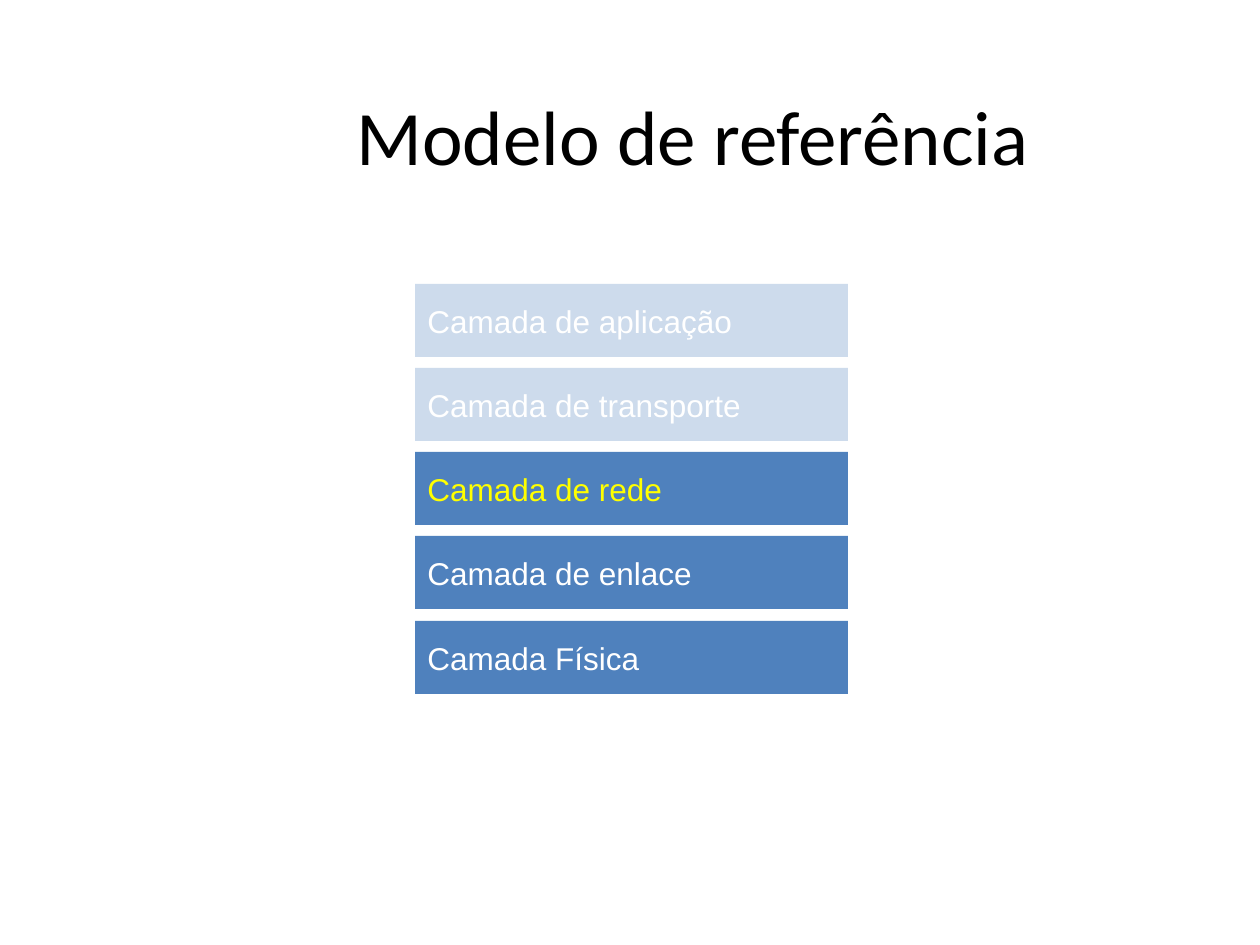
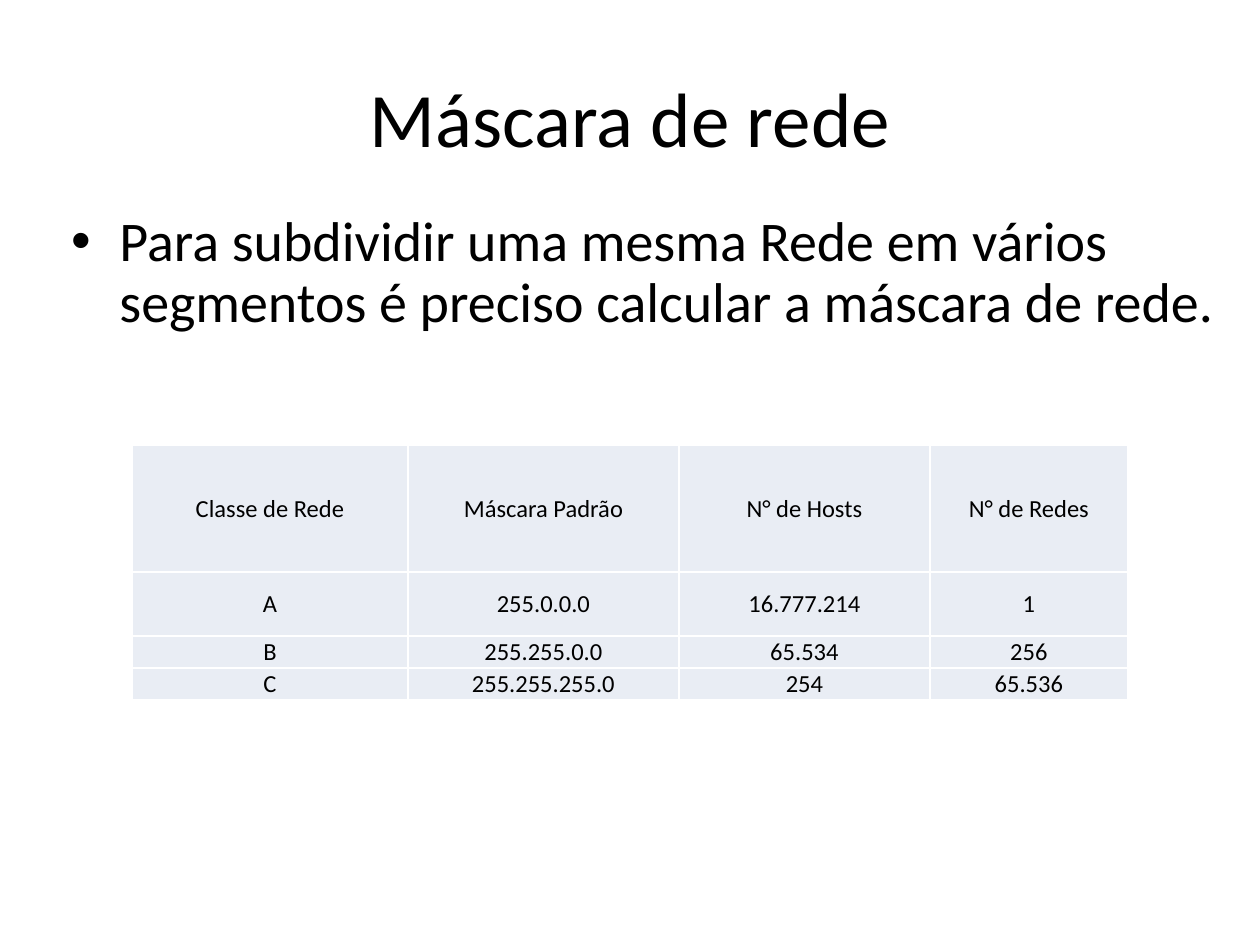
"""Build two slides on the network layer and the network mask."""
from lxml import etree
from pptx import Presentation
from pptx import util as u
from pptx.dml.color import RGBColor
from pptx.enum import shapes, text
from pptx.oxml.ns import qn

BLUE = RGBColor(0x4F, 0x81, 0xBD)
PALE = RGBColor(0xE9, 0xED, 0xF4)
WHITE = RGBColor(0xFF, 0xFF, 0xFF)
BLACK = RGBColor(0, 0, 0)
YELLOW = RGBColor(0xFF, 0xFF, 0)

MODEL = "Modelo de referência"
LAYERS = [
    ("Camada de aplicação", WHITE, 28),
    ("Camada de transporte", WHITE, 28),
    ("Camada de rede", YELLOW, 100),
    ("Camada de enlace", WHITE, 100),
    ("Camada Física", WHITE, 100),
]
MASK = "Máscara de rede"
POINT = "Para subdividir uma mesma Rede em vários segmentos é preciso calcular a máscara de rede."
CLASSES = [
    ("Classe de Rede", "Máscara Padrão", "N° de Hosts", "N° de Redes"),
    ("A", "255.0.0.0", "16.777.214", "1"),
    ("B", "255.255.0.0", "65.534", "256"),
    ("C", "255.255.255.0", "254", "65.536"),
]
COLS = [276, 271, 251, 198]
ROWS = [127, 64, 32, 32]
FIRST, LAST = 284, 621


def px(n):
    return round(n * 914400 / 126)


def area(*box):
    return [px(n) for n in box]


def put(frame, words, size=18, face="Calibri", color=BLACK, align="LEFT",
        anchor="MIDDLE", lead=1.0, bullet=False):
    frame.word_wrap = True
    frame.vertical_anchor = getattr(text.MSO_ANCHOR, anchor)
    para = frame.paragraphs[0]
    para.alignment = getattr(text.PP_ALIGN, align)
    para.line_spacing = lead
    if bullet:
        props = para._p.get_or_add_pPr()
        props.set("marL", str(px(48)))
        props.set("indent", str(-px(48)))
        etree.SubElement(props, qn("a:buFont"), typeface="Arial")
        etree.SubElement(props, qn("a:buChar"), char="•")
    run = para.add_run()
    run.text = words
    run.font.size = u.Pt(size)
    run.font.name = face
    run.font.color.rgb = color
    run.font.bold = False


def start(deck, words, box, lead=1.0):
    slide = deck.slides.add_slide(deck.slide_layouts[5])
    title = slide.shapes.title
    title.left, title.top, title.width, title.height = area(*box)
    title.text_frame.auto_size = text.MSO_AUTO_SIZE.NONE
    put(title.text_frame, words, size=44, align="CENTER", lead=lead)
    return slide


def add_bar(slide, top, words, color, alpha):
    bar = slide.shapes.add_shape(shapes.MSO_SHAPE.RECTANGLE, *area(415, top, 433, 73))
    bar.shadow.inherit = False
    bar.line.fill.background()
    bar.fill.solid()
    bar.fill.fore_color.rgb = BLUE
    if alpha < 100:
        tint = bar._element.spPr.find(qn("a:solidFill"))[0]
        etree.SubElement(tint, qn("a:alpha"), val=str(alpha * 1000))
    put(bar.text_frame, words, face="Arial", color=color)


def edge(cell):
    props = cell._tc.get_or_add_tcPr()
    for spot, side in enumerate("LRTB"):
        line = etree.Element(qn(f"a:ln{side}"), w=str(u.Pt(1)))
        fill = etree.SubElement(line, qn("a:solidFill"))
        etree.SubElement(fill, qn("a:srgbClr"), val=str(WHITE))
        props.insert(spot, line)


def add_grid(slide):
    box = area(132, 445, sum(COLS), sum(ROWS))
    grid = slide.shapes.add_table(len(ROWS), len(COLS), *box).table
    grid.first_row = grid.horz_banding = False
    for col, width in zip(grid.columns, COLS):
        col.width = px(width)
    for row, height, words in zip(grid.rows, ROWS, CLASSES):
        row.height = px(height)
        for cell, word in zip(row.cells, words):
            cell.margin_left = cell.margin_right = cell.margin_top = px(1)
            cell.margin_bottom = 0
            cell.fill.solid()
            cell.fill.fore_color.rgb = PALE
            edge(cell)
            put(cell.text_frame, word, size=14, align="CENTER")
            cell.vertical_anchor = text.MSO_ANCHOR.MIDDLE


def main():
    deck = Presentation()
    deck.slide_width, deck.slide_height = area(1260, 945)

    slide = start(deck, MODEL, (147, 32, 1092, 168), lead=1.4)
    for i, layer in enumerate(LAYERS):
        add_bar(slide, FIRST + (LAST - FIRST) * i // (len(LAYERS) - 1), *layer)

    slide = start(deck, MASK, (63, 38, 1134, 158))
    add_grid(slide)
    note = slide.shapes.add_textbox(*area(59, 207, 1172, 246))
    put(note.text_frame, POINT, size=32, anchor="TOP", lead=0.9, bullet=True)
    deck.save("out.pptx")


if __name__ == "__main__":
    main()
